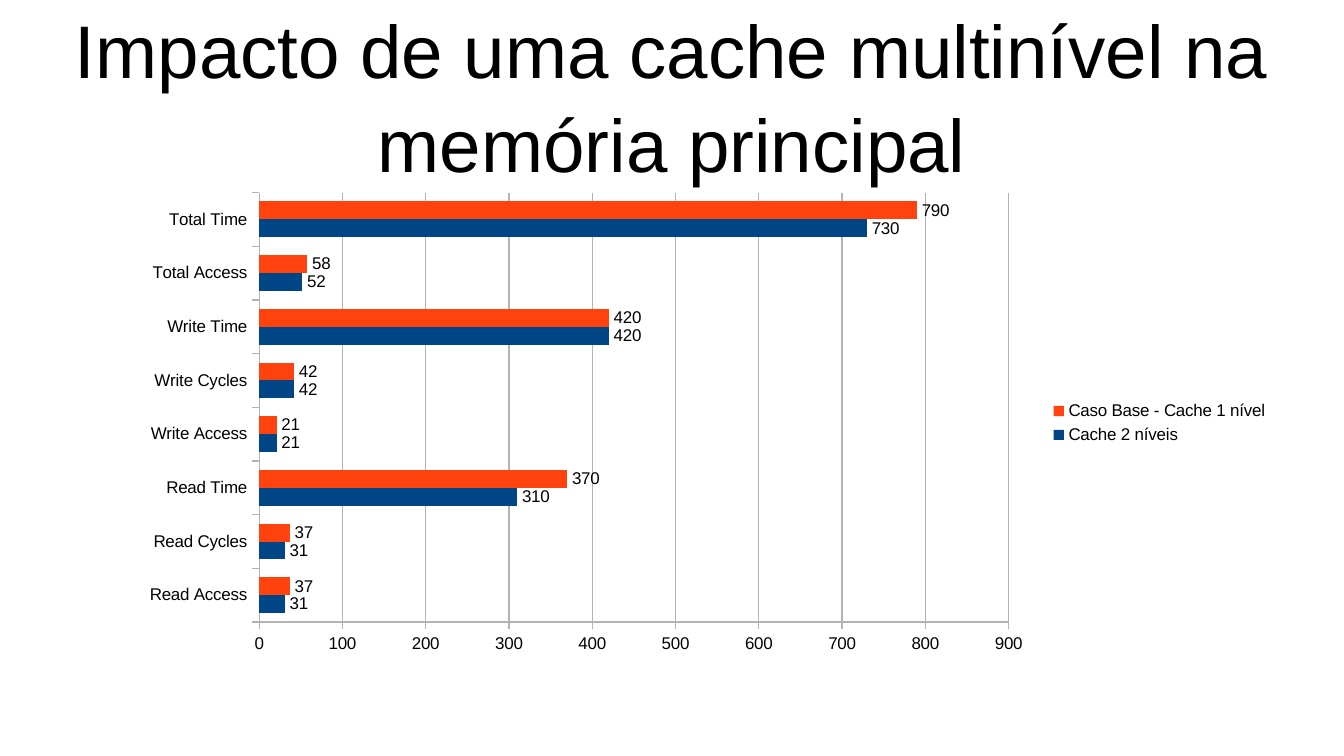
"""Build a slide with a bar chart comparing one-level and two-level caches."""
from lxml import etree
from pptx import Presentation
from pptx import util as u
from pptx.chart import data
from pptx.dml import color
from pptx.enum import chart as ch, text
from pptx.oxml import ns

WIDTH, HEIGHT = 11.02, 6.2
FONT, BLACK, GRAY = "Arial", "000000", "B3B3B3"
TITLE = "Impacto de uma cache multinível na memória principal"
TITLE_BOX = (0.05, 0.013, 0.9, 0.221)
CHART_BOX = (0.095, 0.242, 0.858, 0.635)
PLOT_SHARES = {"x": 0.114, "y": 0.02, "w": 0.65, "h": 0.895}
CATEGORIES = ["Read Access", "Read Cycles", "Read Time", "Write Access",
              "Write Cycles", "Write Time", "Total Access", "Total Time"]
SERIES = [
    ("Cache 2 níveis", "004586", (31, 31, 310, 21, 42, 420, 52, 730)),
    ("Caso Base - Cache 1 nível", "FF420E", (37, 37, 370, 21, 42, 420, 58, 790)),
]


def rgb(value):
    return color.RGBColor.from_string(value)


def place(shares):
    return [u.Inches(share * side)
            for share, side in zip(shares, (WIDTH, HEIGHT, WIDTH, HEIGHT))]


def set_font(font, size):
    font.name, font.size, font.bold = FONT, u.Pt(size), False
    font.color.rgb = rgb(BLACK)


def set_line(line):
    line.color.rgb = rgb(GRAY)
    line.width = 0


def add_title(page):
    title = page.shapes.title
    title.left, title.top, title.width, title.height = place(TITLE_BOX)
    frame = title.text_frame
    frame.text = TITLE
    frame.margin_left = frame.margin_right = frame.margin_top = frame.margin_bottom = 0
    frame.word_wrap = True
    frame.auto_size = text.MSO_AUTO_SIZE.NONE
    frame.vertical_anchor = text.MSO_ANCHOR.MIDDLE
    para = frame.paragraphs[0]
    para.alignment = text.PP_ALIGN.CENTER
    para.line_spacing = 1.05
    set_font(para.font, 44)


def lay_out_plot(chart):
    area = chart.element.find(".//" + ns.qn("c:plotArea"))
    for old in area.findall(ns.qn("c:layout")):
        area.remove(old)
    layout = etree.Element(ns.qn("c:layout"))
    manual = etree.SubElement(layout, ns.qn("c:manualLayout"))
    settings = {"layoutTarget": "inner", "xMode": "edge", "yMode": "edge", **PLOT_SHARES}
    for name, value in settings.items():
        etree.SubElement(manual, ns.qn("c:" + name)).set("val", str(value))
    area.insert(0, layout)


def add_chart(page):
    content = data.CategoryChartData()
    content.categories = CATEGORIES
    for name, _, values in SERIES:
        content.add_series(name, values)
    chart = page.shapes.add_chart(
        ch.XL_CHART_TYPE.BAR_CLUSTERED, *place(CHART_BOX), content).chart
    chart.has_title = False
    set_font(chart.font, 10)
    chart.has_legend = True
    chart.legend.position = ch.XL_LEGEND_POSITION.RIGHT
    chart.legend.include_in_layout = False
    set_font(chart.legend.font, 10)

    for axis in (chart.category_axis, chart.value_axis):
        axis.major_tick_mark = ch.XL_TICK_MARK.OUTSIDE
        axis.minor_tick_mark = ch.XL_TICK_MARK.NONE
        set_line(axis.format.line)
        set_font(axis.tick_labels.font, 10)
    scale = chart.value_axis
    scale.minimum_scale, scale.maximum_scale, scale.major_unit = 0, 900, 100
    scale.has_major_gridlines = True
    set_line(scale.major_gridlines.format.line)

    plot = chart.plots[0]
    plot.gap_width, plot.overlap = 100, 0
    plot.vary_by_categories = False
    for series, (_, fill, _) in zip(plot.series, SERIES):
        series.format.fill.solid()
        series.format.fill.fore_color.rgb = rgb(fill)
        series.invert_if_negative = False
        labels = series.data_labels
        labels.show_value = True
        labels.position = ch.XL_LABEL_POSITION.OUTSIDE_END
        set_font(labels.font, 10)
    lay_out_plot(chart)


def main():
    deck = Presentation()
    deck.slide_width, deck.slide_height = u.Inches(WIDTH), u.Inches(HEIGHT)
    page = deck.slides.add_slide(deck.slide_layouts.get_by_name("Title Only"))
    add_title(page)
    add_chart(page)
    deck.save("out.pptx")


if __name__ == "__main__":
    main()
